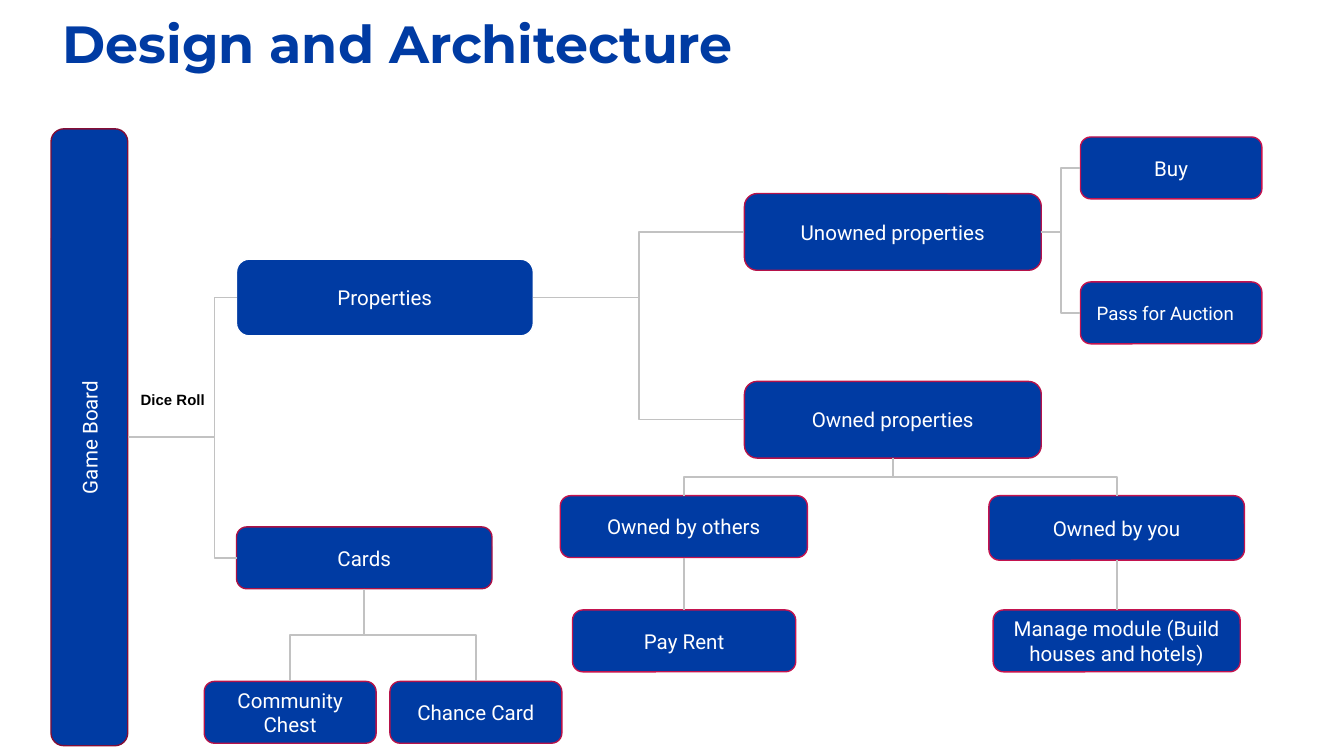
from lxml import etree
from pptx import Presentation
from pptx import util as u
from pptx.dml.color import RGBColor
from pptx.enum import shapes, text
from pptx.oxml.ns import qn

BLUE = RGBColor(0x00, 0x3B, 0xA3)
WHITE = RGBColor(0xFF, 0xFF, 0xFF)
BLACK = RGBColor(0x00, 0x00, 0x00)
GREY = RGBColor(0xC2, 0xC2, 0xC2)
MAROON = RGBColor(0x84, 0x0D, 0x35)
WINE = RGBColor(0xAC, 0x11, 0x45)
CRIMSON = RGBColor(0xB6, 0x12, 0x49)
CHERRY = RGBColor(0xC4, 0x13, 0x4E)

prs = Presentation()
prs.slide_width, prs.slide_height = u.Cm(25.4), u.Cm(14.29)
slide = prs.slides.add_slide(prs.slide_layouts[6])


def write(shape, words, size=11, font="Roboto", color=WHITE, bold=False,
          align=text.PP_ALIGN.CENTER, anchor=text.MSO_ANCHOR.MIDDLE, wrap=True):
    frame = shape.text_frame
    frame.word_wrap = wrap
    frame.vertical_anchor = anchor
    frame.margin_left = frame.margin_right = u.Cm(0.25)
    frame.margin_top = frame.margin_bottom = u.Cm(0.25)
    paragraph = frame.paragraphs[0]
    paragraph.alignment = align
    run = paragraph.add_run()
    run.text = words
    run.font.size = u.Pt(size)
    run.font.name = font
    run.font.bold = bold
    run.font.color.rgb = color


def link(x1, y1, x2, y2, down=False, bend=0.5):
    """Join two points in cm; down makes the elbow leave vertically."""
    kind = shapes.MSO_CONNECTOR.STRAIGHT if x1 == x2 else shapes.MSO_CONNECTOR.ELBOW
    turned = down and x1 != x2
    if turned:  # lay the elbow flat about its centre, then turn it by 90 degrees
        cx, cy, dx, dy = (x1 + x2) / 2, (y1 + y2) / 2, x2 - x1, y2 - y1
        x1, y1, x2, y2 = cx - dy / 2, cy + dx / 2, cx + dy / 2, cy - dx / 2
    line = slide.shapes.add_connector(kind, u.Cm(x1), u.Cm(y1), u.Cm(x2), u.Cm(y2))
    line.line.color.rgb = GREY
    line.line.width = u.Pt(0.75)
    props = line._element.spPr
    etree.SubElement(props, qn("a:effectLst"))
    if turned:
        props.find(qn("a:xfrm")).set("rot", "5400000")
    if bend != 0.5:
        guides = props.find(qn("a:prstGeom")).get_or_add_avLst()
        etree.SubElement(guides, qn("a:gd"), name="adj1", fmla=f"val {round(bend * 100000)}")


# Boxes: left, top, width, height in cm, outline
boxes = {
    "Game Board": (-4.14, 7.54, 11.66, 1.45, MAROON),
    "Properties": (4.47, 4.9, 5.61, 1.45, WHITE),
    "Cards": (4.47, 9.96, 4.83, 1.17, WINE),
    "Unowned properties": (14.07, 3.66, 5.61, 1.45, CRIMSON),
    "Owned properties": (14.07, 7.21, 5.61, 1.45, CRIMSON),
    "Community Chest": (3.86, 12.88, 3.25, 1.17, CRIMSON),
    "Chance Card": (7.37, 12.88, 3.25, 1.17, CRIMSON),
    "Buy": (20.42, 2.59, 3.43, 1.17, CHERRY),
    "Pass for Auction": (20.42, 5.33, 3.43, 1.17, CHERRY),
    "Owned by others": (10.59, 9.37, 4.67, 1.17, CHERRY),
    "Owned by you": (18.69, 9.37, 4.83, 1.22, CHERRY),
    "Pay Rent": (10.82, 11.53, 4.22, 1.17, CHERRY),
    "Manage module (Build houses and hotels)": (18.77, 11.53, 4.67, 1.17, CHERRY),
}
for label, (left, top, width, height, outline) in boxes.items():
    box = slide.shapes.add_shape(shapes.MSO_SHAPE.ROUNDED_RECTANGLE,
                                 u.Cm(left), u.Cm(top), u.Cm(width), u.Cm(height))
    box.shadow.inherit = False
    box.fill.solid()
    box.fill.fore_color.rgb = BLUE
    box.line.color.rgb = outline
    box.line.width = u.Pt(0.75)
    if label == "Game Board":
        box.rotation = 270
    if label == "Pass for Auction":
        write(box, label, size=10, align=text.PP_ALIGN.LEFT)
    else:
        write(box, label)

# Links that run sideways, from right edge to left edge
sideways = {
    "Game Board": ("Properties", "Cards"),
    "Properties": ("Unowned properties", "Owned properties"),
    "Unowned properties": ("Buy", "Pass for Auction"),
}
for parent, children in sideways.items():
    left, top, width, height, _ = boxes[parent]
    on_end = parent == "Game Board"
    right = left + (width + height) / 2 if on_end else left + width
    for child in children:
        child_left, child_top, _, child_height, _ = boxes[child]
        link(right, top + height / 2, child_left, child_top + child_height / 2,
             bend=0.8 if on_end else 0.5)

# Links that run downwards, from bottom edge to top edge
downwards = {
    "Cards": ("Community Chest", "Chance Card"),
    "Owned properties": ("Owned by others", "Owned by you"),
    "Owned by others": ("Pay Rent",),
    "Owned by you": ("Manage module (Build houses and hotels)",),
}
for parent, children in downwards.items():
    left, top, width, height, _ = boxes[parent]
    for child in children:
        child_left, child_top, child_width, _, _ = boxes[child]
        link(round(left + width / 2, 2), top + height,
             round(child_left + child_width / 2, 2), child_top, down=True)

# Title and link label
title = slide.shapes.add_textbox(u.Cm(0.94), u.Cm(-0.03), u.Cm(21.44), u.Cm(1.6))
write(title, "Design and Architecture", size=28, font="Montserrat", color=BLUE, bold=True,
      align=text.PP_ALIGN.LEFT, anchor=text.MSO_ANCHOR.TOP)
dice = slide.shapes.add_textbox(u.Cm(2.41), u.Cm(7.21), u.Cm(1.73), u.Cm(0.86))
write(dice, "Dice Roll", size=8, font="Arial", color=BLACK, bold=True,
      align=text.PP_ALIGN.LEFT, anchor=text.MSO_ANCHOR.TOP, wrap=False)

prs.save("out.pptx")
